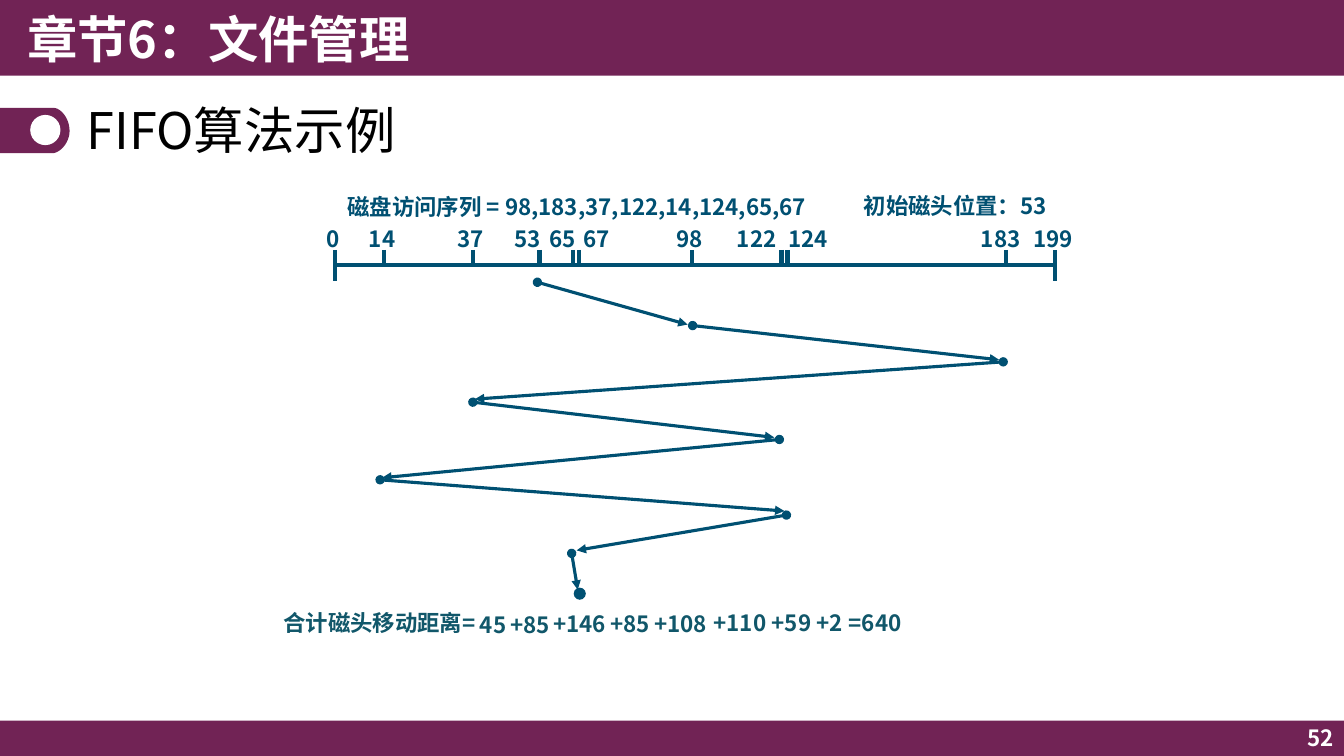
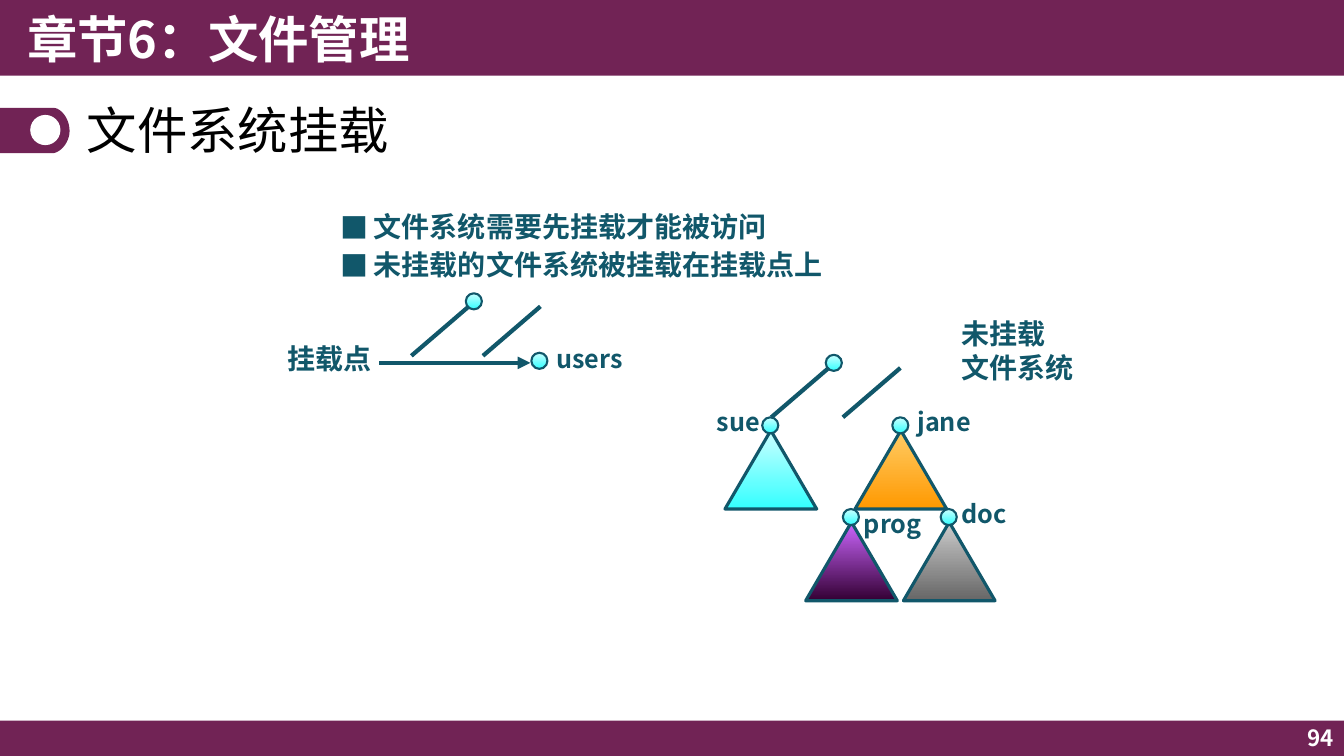
from lxml import etree
from pptx import Presentation
from pptx.dml.color import RGBColor
from pptx.enum.shapes import MSO_CONNECTOR, MSO_SHAPE
from pptx.enum.text import MSO_ANCHOR, MSO_AUTO_SIZE, PP_ALIGN
from pptx.oxml.ns import qn
from pptx.util import Pt

STRAIGHT = MSO_CONNECTOR.STRAIGHT
RECT, OVAL, TRIANGLE = MSO_SHAPE.RECTANGLE, MSO_SHAPE.OVAL, MSO_SHAPE.ISOSCELES_TRIANGLE
TOP, MIDDLE = MSO_ANCHOR.TOP, MSO_ANCHOR.MIDDLE
LEFT, CENTER, RIGHT = PP_ALIGN.LEFT, PP_ALIGN.CENTER, PP_ALIGN.RIGHT
GROW, FIXED = MSO_AUTO_SIZE.SHAPE_TO_FIT_TEXT, MSO_AUTO_SIZE.NONE

EMU_PER_PX = 9144
WIDTH, HEIGHT = 1333, 750
FONT, BULLET_FONT = "Noto Sans CJK SC", "Noto Sans CJK JP"
COLORS = {
    "plum": "712355", "white": "FFFFFF", "black": "000000",
    "navy": "005072", "teal": "11576A",
}
GRADIENTS = {
    "aqua": ("CCFFFF", "33FFFF"), "orange": ("FFCC66", "FF9900"),
    "purple": ("CC66FF", "330033"), "grey": ("CCCCCC", "666666"),
}

AXIS_MARKS = [
    ("0", 331, 332), ("14", 380, 381), ("37", 468, 469), ("53", 524, 535),
    ("65", 559, 568), ("67", 593, 574), ("98", 685, 686), ("122", 752, 775),
    ("124", 803, 781), ("183", 994, 998), ("199", 1046, 1046),
]
HEAD_MOVES = [
    (533, 280, 682, 322), (687, 323, 991, 357), (995, 359, 471, 396),
    (469, 399, 768, 434), (773, 436, 379, 474), (377, 476, 778, 507),
    (780, 511, 572, 546), (567, 549, 573, 585),
]
DISTANCE_TERMS = [
    ("45", 489, 601), ("+85", 526, 601), ("+146", 575, 600), ("+85", 625, 600),
    ("+108", 675, 600), ("+110", 734, 599), ("+59", 785, 599), ("+2", 823, 599),
    ("=640", 868, 599),
]
SUBTREES = [
    ("jane", 893, 414, "orange", 900, 398, 73),
    ("prog", 844, 505, "purple", 847, 499, 81),
    ("doc", 941, 505, "grey", 944, 489, 67),
    ("sue", 764, 414, "aqua", 701, 398, 64),
]


def px(length):
    """Turn px into EMU."""
    return round(length * EMU_PER_PX)


def rgb(name):
    """Look up a named colour."""
    return RGBColor.from_string(COLORS[name])


def bezier(start, first, second, end, steps=12):
    """List the points of a cubic curve after its start."""
    points = []
    for step in range(1, steps + 1):
        t = step / steps
        weights = ((1 - t) ** 3, 3 * t * (1 - t) ** 2, 3 * t * t * (1 - t), t ** 3)
        corners = (start, first, second, end)
        points.append(tuple(px(sum(w * c[axis] for w, c in zip(weights, corners)))
                            for axis in (0, 1)))
    return points


def write(frame, text, size=16, color="teal", bold=True, align=LEFT, anchor=TOP,
          wrap=False, fit=GROW, spacing=None, before=0, bullet=None):
    """Fill a text frame, one paragraph per line of text."""
    frame.word_wrap = wrap
    frame.auto_size = fit
    frame.vertical_anchor = anchor
    for index, line in enumerate(text.split("\n")):
        paragraph = frame.add_paragraph() if index else frame.paragraphs[0]
        paragraph.alignment = align
        if spacing:
            paragraph.line_spacing = spacing
        if index and before:
            paragraph.space_before = Pt(before)
        if bullet:
            properties = paragraph._p.get_or_add_pPr()
            properties.set("marL", str(px(33)))
            properties.set("indent", str(px(-33)))
            etree.SubElement(properties, qn("a:buFont"), typeface=BULLET_FONT)
            etree.SubElement(properties, qn("a:buChar"), char=bullet)
        run = paragraph.add_run()
        run.text = line
        run.font.size = Pt(size)
        run.font.bold = bold
        run.font.color.rgb = rgb(color)
        run.font.name = FONT
        etree.SubElement(run._r.get_or_add_rPr(), qn("a:ea"), typeface=FONT)


class Deck:
    """Hold the deck style and the current slide."""

    def __init__(self):
        """Start an empty wide deck."""
        self.deck = Presentation()
        self.deck.slide_width, self.deck.slide_height = px(WIDTH), px(HEIGHT)
        self.layout = self.deck.slide_layouts.get_by_name("Title Only")
        self.slide = None

    def new_slide(self, title, number):
        """Add a slide with bands, chapter, marker, title and number."""
        self.slide = self.deck.slides.add_slide(self.layout)
        self.shape(RECT, 0, 715, WIDTH, 35, "plum")
        self.shape(RECT, 0, 0, WIDTH, 75, "plum")
        self.marker()
        self.text("章节6：文件管理", 17, 0, 667, 77, size=36, color="white",
                  anchor=MIDDLE, wrap=True, fit=FIXED)
        heading = self.slide.shapes.title
        heading.left, heading.top, heading.width, heading.height = map(px, (76, 95, 1181, 74))
        write(heading.text_frame, title, size=36, color="black", bold=False,
              anchor=MIDDLE, wrap=True, fit=FIXED, spacing=0.9)
        self.text(number, 1033, 714, 300, 36, color="white", align=RIGHT,
                  anchor=MIDDLE, wrap=True, fit=FIXED)

    def marker(self):
        """Draw the round-ended tab beside the title."""
        builder = self.slide.shapes.build_freeform(0, px(107), scale=1.0)
        outline = [(px(53), px(107))]
        outline += bezier((53, 107), (60, 107), (69, 117), (69, 130))
        outline += bezier((69, 130), (69, 142), (59, 152), (52, 152))
        outline.append((0, px(152)))
        builder.add_line_segments(outline, close=True)
        self.paint(builder.convert_to_shape(), "plum")
        self.shape(OVAL, 30, 114, 30, 30, "white")

    def paint(self, shape, fill, line_width=0):
        """Set the fill and outline of a shape."""
        shape.shadow.inherit = False
        if fill in GRADIENTS:
            shape.fill.gradient()
            shape.fill.gradient_angle = 270
            for stop, color in zip(shape.fill.gradient_stops, GRADIENTS[fill]):
                stop.color.rgb = RGBColor.from_string(color)
        else:
            shape.fill.solid()
            shape.fill.fore_color.rgb = rgb(fill)
        if line_width:
            shape.line.color.rgb = rgb("teal")
            shape.line.width = Pt(line_width)
        else:
            shape.line.fill.background()

    def shape(self, kind, left, top, width, height, fill, line_width=0):
        """Add a preset shape."""
        shape = self.slide.shapes.add_shape(kind, px(left), px(top), px(width), px(height))
        self.paint(shape, fill, line_width)

    def text(self, text, left, top, width, height, **style):
        """Add a text box."""
        box = self.slide.shapes.add_textbox(px(left), px(top), px(width), px(height))
        write(box.text_frame, text, **style)

    def number(self, text, center, top, **style):
        """Add a short number centred on a point."""
        width = 20 + 14 * len(text)
        self.text(text, center - width / 2, top, width, 37, **style)

    def line(self, x1, y1, x2, y2, color="teal", width=3, head=None, tail=None):
        """Add a straight line with optional ends."""
        line = self.slide.shapes.add_connector(STRAIGHT, px(x1), px(y1), px(x2), px(y2))
        line.line.color.rgb = rgb(color)
        line.line.width = Pt(width)
        outline = line.line._get_or_add_ln()
        for tag, end in (("a:headEnd", head), ("a:tailEnd", tail)):
            if end:
                etree.SubElement(outline, qn(tag), type=end)
        etree.SubElement(line._element.spPr, qn("a:effectLst"))

    def node(self, left, top):
        """Add a directory node."""
        self.shape(OVAL, left, top, 16, 16, "aqua", 1.5)

    def subtree(self, name, center, top, fill, label_left, label_top, label_width):
        """Add a named node above a triangle."""
        self.shape(TRIANGLE, center - 45, top + 13, 91, 78, fill, 2.25)
        self.node(center - 8, top)
        self.text(name, label_left, label_top, label_width, 40, size=18)

    def fork(self, left, top):
        """Add a root node with its two parallel branches."""
        self.node(left, top)
        for shift in (0, 71):
            self.line(left + 3 + shift, top + 13, left - 54 + shift, top + 62)


def fifo_slide(deck):
    """Draw the disk head moves under FIFO."""
    deck.new_slide("FIFO算法示例", "52")
    deck.text("磁盘访问序列 = 98,183,37,122,14,124,65,67", 335, 187, 494, 37, color="navy")
    deck.text("初始磁头位置：53", 847, 186, 211, 37, color="navy")
    axis_ends = (AXIS_MARKS[0], AXIS_MARKS[-1])
    for mark in AXIS_MARKS:
        track, center, tick = mark
        deck.number(track, center, 218, color="navy")
        deck.line(tick, 248, tick, 279 if mark in axis_ends else 263, color="navy")
    deck.line(axis_ends[0][2], 263, axis_ends[1][2], 263, color="navy")
    for move in HEAD_MOVES:
        deck.line(*move, color="navy", width=2.25, head="oval", tail="triangle")
    deck.shape(OVAL, 569, 583, 12, 12, "navy")
    deck.text("合计磁头移动距离=", 268, 599, 217, 37, align=CENTER, anchor=MIDDLE)
    for term, center, top in DISTANCE_TERMS:
        deck.number(term, center, top, align=CENTER, anchor=MIDDLE)


def mount_slide(deck):
    """Draw a mount point and an unmounted file system."""
    deck.new_slide("文件系统挂载", "94")
    deck.text("文件系统需要先挂载才能被访问\n未挂载的文件系统被挂载在挂载点上", 328, 203, 580, 85,
              size=20, wrap=True, fit=FIXED, before=3, bullet="■")
    deck.text("挂载点", 275, 334, 104, 44, size=20, wrap=True)
    deck.line(376, 360, 526, 360, tail="triangle")
    deck.fork(462, 291)
    deck.node(527, 350)
    deck.text("users", 542, 336, 87, 40, size=18)
    deck.text("未挂载\n文件系统", 944, 309, 132, 77, size=20)
    for subtree in SUBTREES:
        deck.subtree(*subtree)
    deck.fork(819, 352)


def main():
    """Build and save the deck."""
    deck = Deck()
    fifo_slide(deck)
    mount_slide(deck)
    deck.deck.save("out.pptx")


if __name__ == "__main__":
    main()
